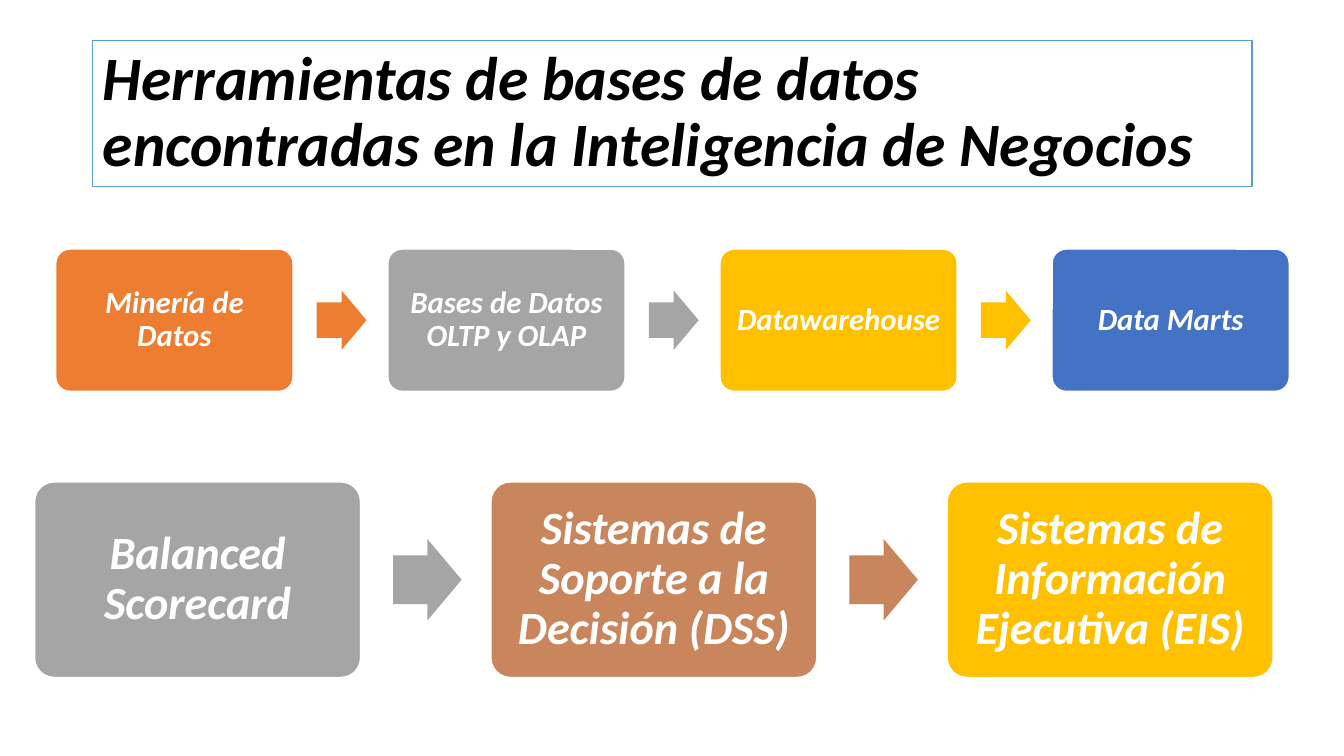
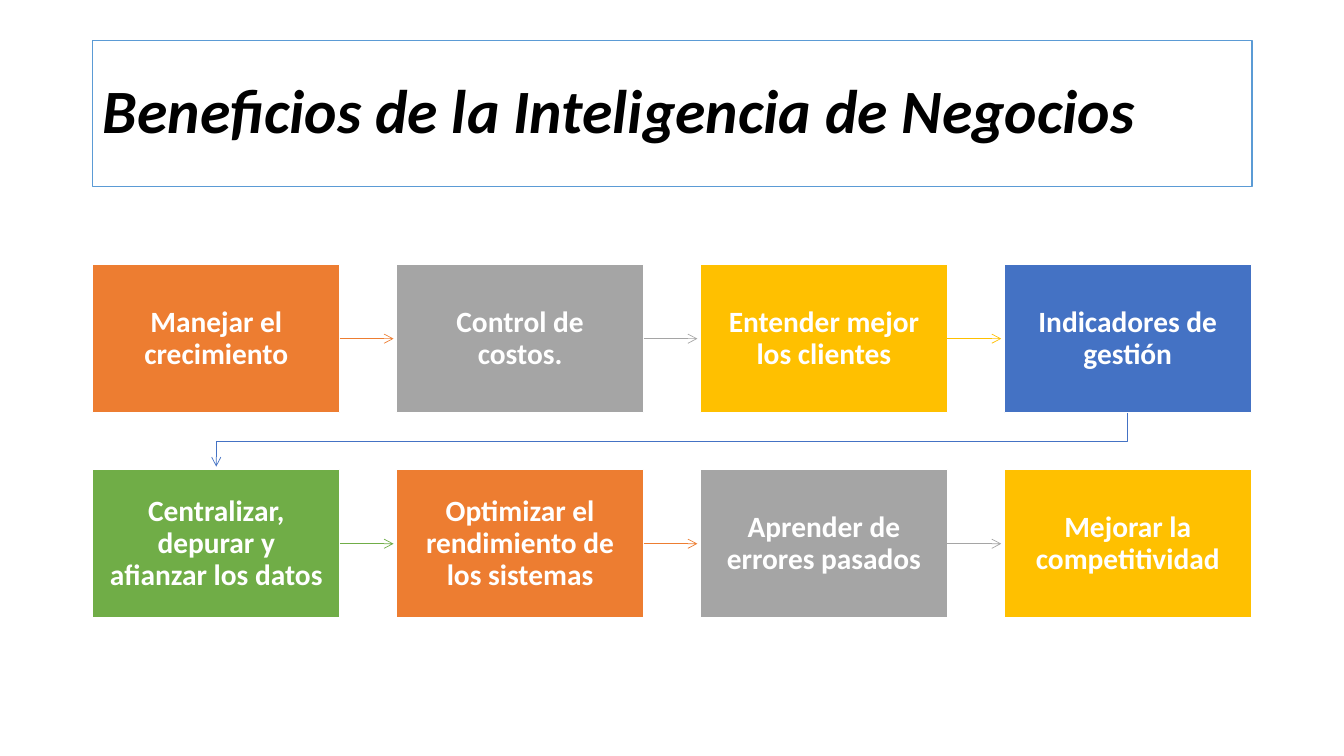
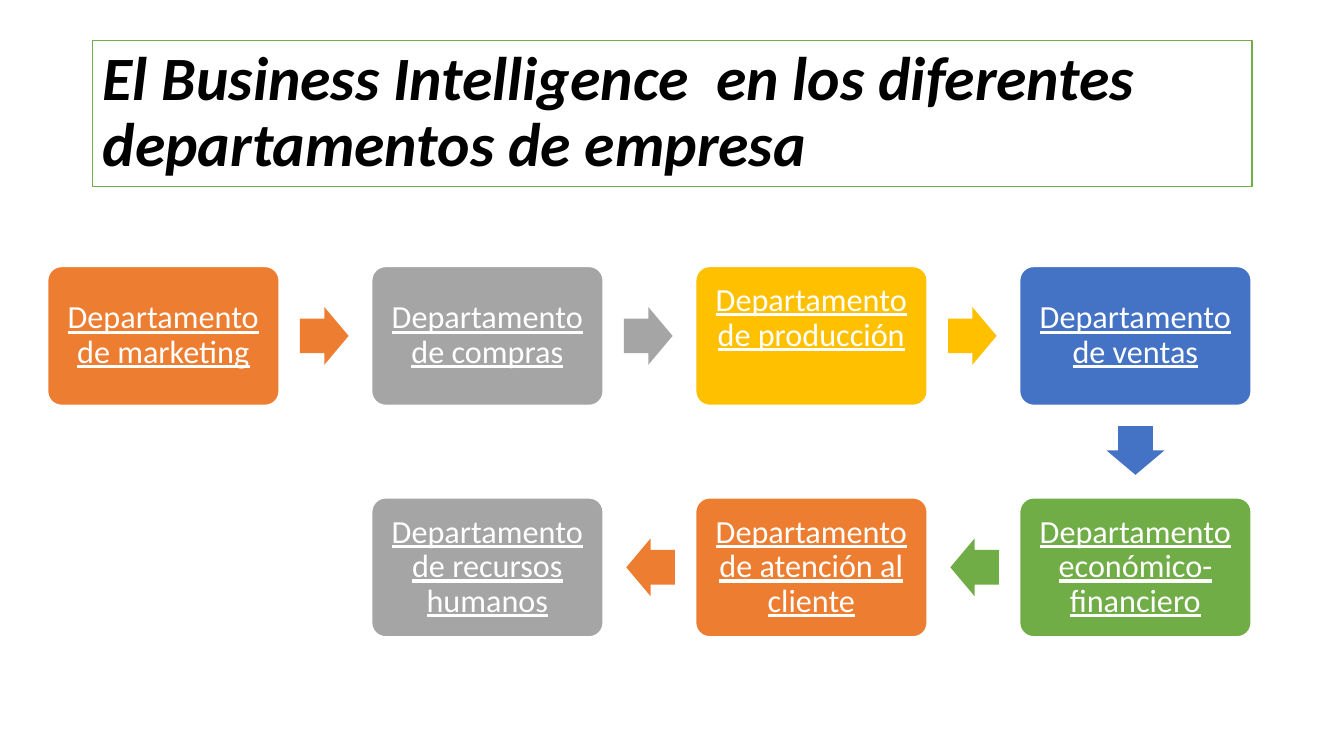
from dataclasses import dataclass
from itertools import pairwise

from lxml import etree
from pptx import Presentation
from pptx import util as u
from pptx.dml.color import RGBColor
from pptx.enum import shapes, text
from pptx.oxml.ns import qn

BLACK = RGBColor(0x00, 0x00, 0x00)
WHITE = RGBColor(0xFF, 0xFF, 0xFF)
SKY = RGBColor(0x5B, 0x9B, 0xD5)
ORANGE = RGBColor(0xED, 0x7D, 0x31)
GRAY = RGBColor(0xA5, 0xA5, 0xA5)
GOLD = RGBColor(0xFF, 0xC0, 0x00)
BLUE = RGBColor(0x44, 0x72, 0xC4)
GREEN = RGBColor(0x70, 0xAD, 0x47)
BROWN = RGBColor(0xC9, 0x85, 0x5C)

FONT = "Calibri"
LINE_SPACING = 0.9
SLIDE_W, SLIDE_H = u.Inches(13.333), u.Inches(7.5)
TITLE_ONLY = 5

# Shares of a box's width
BOX_HEIGHT = 0.6
ARROW_LENGTH, ARROW_BREADTH = 0.21, 0.25

ROTATION = {(1, 0): 0, (0, 1): 90, (-1, 0): 180}
ROUND = shapes.MSO_SHAPE.ROUNDED_RECTANGLE
SQUARE = shapes.MSO_SHAPE.RECTANGLE


@dataclass(frozen=True)
class Step:
    """One box of a flow; lift is the number of lines its text is raised by."""
    label: str
    color: RGBColor
    lift: int = 0


@dataclass(frozen=True)
class Flow:
    """Steps on a grid: left, top and width in % of the slide, pitches in box widths."""
    left: float
    top: float
    width: float
    font_size: int
    steps: tuple[Step, ...]
    columns: int = 4
    column_pitch: float = 1.4
    row_pitch: float = 1.0
    outline: shapes.MSO_SHAPE = ROUND
    inset_em: float = 0.31
    arrow_lead: float = 0.1
    snake: bool = False
    bold: bool = False
    italic: bool = False
    underline: bool = False


@dataclass(frozen=True)
class Page:
    """A title with its frame colour and the flows below it."""
    title: str
    frame: RGBColor
    flows: tuple[Flow, ...]


@dataclass(frozen=True)
class Box:
    """Place of one step on the slide."""
    column: int
    row: int
    x: int
    y: int
    w: int
    h: int

    @property
    def center(self) -> tuple[int, int]:
        """Middle point of the box."""
        return self.x + self.w // 2, self.y + self.h // 2


def share_x(percent: float) -> int:
    """Length as a percentage of the slide's width."""
    return round(SLIDE_W * percent / 100)


def share_y(percent: float) -> int:
    """Length as a percentage of the slide's height."""
    return round(SLIDE_H * percent / 100)


def place(flow: Flow, index: int) -> Box:
    """Find the grid cell of a step; snaking flows run odd rows backwards."""
    row, column = divmod(index, flow.columns)
    if flow.snake and row % 2:
        column = flow.columns - 1 - column
    width = share_x(flow.width)
    return Box(column, row,
               share_x(flow.left) + round(column * width * flow.column_pitch),
               share_y(flow.top) + round(row * width * flow.row_pitch),
               width, round(width * BOX_HEIGHT))


def paint(shape, fill: RGBColor, line: RGBColor | None = None) -> None:
    """Give a shape a flat fill and a 1 pt line, or none."""
    shape.fill.solid()
    shape.fill.fore_color.rgb = fill
    if line is None:
        shape.line.fill.background()
    else:
        shape.line.color.rgb = line
        shape.line.width = u.Pt(1)


def write(frame, words: str, size: int, color: RGBColor, align: text.PP_ALIGN,
          bold: bool, italic: bool, underline: bool = False) -> None:
    """Set one wrapped, vertically centred paragraph."""
    frame.word_wrap = True
    frame.auto_size = text.MSO_AUTO_SIZE.NONE
    frame.vertical_anchor = text.MSO_ANCHOR.MIDDLE
    paragraph = frame.paragraphs[0]
    paragraph.alignment = align
    paragraph.line_spacing = LINE_SPACING
    run = paragraph.add_run()
    run.text = words
    font = run.font
    font.name, font.size, font.color.rgb = FONT, u.Pt(size), color
    font.bold, font.italic, font.underline = bold, italic, underline


def draw_title(slide, page: Page) -> None:
    """Place the framed title."""
    title = slide.shapes.title
    title.left, title.top = share_x(6.9), share_y(5.33)
    title.width, title.height = share_x(86.25), share_y(19.33)
    paint(title, WHITE, page.frame)
    write(title.text_frame, page.title, 44, BLACK, text.PP_ALIGN.LEFT, True, True)


def draw_step(slide, flow: Flow, step: Step, box: Box) -> None:
    """Draw one coloured box with its label."""
    shape = slide.shapes.add_shape(flow.outline, box.x, box.y, box.w, box.h)
    shape.shadow.inherit = False
    if flow.outline == ROUND:
        shape.adjustments[0] = 0.1
    paint(shape, step.color, WHITE)
    frame = shape.text_frame
    inset = u.Pt(flow.font_size * flow.inset_em)
    frame.margin_left = frame.margin_right = frame.margin_top = inset
    line_height = u.Pt(flow.font_size * 1.22 * LINE_SPACING)
    frame.margin_bottom = inset + step.lift * line_height
    write(frame, step.label, flow.font_size, WHITE, text.PP_ALIGN.CENTER,
          flow.bold, flow.italic, flow.underline)


def draw_block_arrow(slide, flow: Flow, color: RGBColor, start: Box, end: Box) -> None:
    """Draw a block arrow that leaves one box towards the next."""
    dx, dy = end.column - start.column, end.row - start.row
    length, breadth = round(start.w * ARROW_LENGTH), round(start.w * ARROW_BREADTH)
    half_box = start.w / 2 if dx else start.h / 2
    reach = round(half_box + start.w * flow.arrow_lead + length / 2)
    x, y = start.center
    arrow = slide.shapes.add_shape(
        shapes.MSO_SHAPE.RIGHT_ARROW, x + dx * reach - length // 2,
        y + dy * reach - breadth // 2, length, breadth)
    arrow.adjustments[0], arrow.adjustments[1] = 0.6, 0.5
    arrow.rotation = ROTATION[dx, dy]
    arrow.shadow.inherit = False
    paint(arrow, color)


def draw_thin_arrow(slide, color: RGBColor, start: Box, end: Box) -> None:
    """Draw a line to the next box, bent where the flow changes row."""
    gap = u.Inches(0.03)
    x, y = start.center
    if start.row == end.row:
        arrow = slide.shapes.add_connector(
            shapes.MSO_CONNECTOR.STRAIGHT, start.x + start.w, y, end.x - gap, y)
        etree.SubElement(arrow._element.spPr, qn("a:effectLst"))
    else:
        bottom, target = start.y + start.h, end.center[0]
        middle = (bottom + end.y) // 2
        builder = slide.shapes.build_freeform(x, bottom)
        builder.add_line_segments(
            [(x, middle), (target, middle), (target, end.y - gap)], close=False)
        arrow = builder.convert_to_shape()
        arrow.fill.background()
        arrow.shadow.inherit = False
    arrow.line.color.rgb = color
    arrow.line.width = u.Pt(0.5)
    etree.SubElement(arrow.line._get_or_add_ln(), qn("a:tailEnd"), type="arrow")


def draw_flow(slide, flow: Flow) -> None:
    """Draw all boxes of a flow and the arrows between them."""
    placed = [(step, place(flow, i)) for i, step in enumerate(flow.steps)]
    for step, box in placed:
        draw_step(slide, flow, step, box)
    for (step, start), (_, end) in pairwise(placed):
        if flow.outline == ROUND:
            draw_block_arrow(slide, flow, step.color, start, end)
        else:
            draw_thin_arrow(slide, step.color, start, end)


PAGES = (
    Page("Herramientas de bases de datos encontradas en la Inteligencia de Negocios", SKY, (
        Flow(4.15, 32.95, 17.65, 22, (
            Step("Minería de Datos", ORANGE),
            Step("Bases de Datos OLTP y OLAP", GRAY),
            Step("Datawarehouse", GOLD),
            Step("Data Marts", BLUE),
        ), bold=True, italic=True),
        Flow(2.58, 63.75, 24.25, 33, (
            Step("Balanced Scorecard", GRAY),
            Step("Sistemas de Soporte a la Decisión (DSS)", BROWN),
            Step("Sistemas de Información Ejecutiva (EIS)", GOLD),
        ), columns=3, bold=True, italic=True),
    )),
    Page("Beneficios de la Inteligencia de Negocios", SKY, (
        Flow(6.9, 35, 18.38, 21, (
            Step("Manejar el crecimiento", ORANGE),
            Step("Control de costos.", GRAY),
            Step("Entender mejor los clientes", GOLD),
            Step("Indicadores de gestión", BLUE),
            Step("Centralizar, depurar y afianzar los datos", GREEN),
            Step("Optimizar el rendimiento de los sistemas", ORANGE),
            Step("Aprender de errores pasados", GRAY),
            Step("Mejorar la competitividad", GOLD),
        ), column_pitch=1.23, row_pitch=0.83, outline=SQUARE, inset_em=0.55, bold=True),
    )),
    Page("El Business Intelligence  en los diferentes departamentos de empresa", GREEN, (
        Flow(3.55, 35.25, 17.22, 23, (
            Step("Departamento de marketing", ORANGE),
            Step("Departamento de compras", GRAY),
            Step("Departamento de producción", GOLD, lift=1),
            Step("Departamento de ventas", BLUE),
            Step("Departamento económico-financiero", GREEN),
            Step("Departamento de atención al cliente", ORANGE),
            Step("Departamento de recursos humanos", GRAY),
        ), arrow_lead=0.09, snake=True, underline=True),
    )),
)


def main() -> None:
    """Build and save the presentation."""
    deck = Presentation()
    deck.slide_width, deck.slide_height = SLIDE_W, SLIDE_H
    for page in PAGES:
        slide = deck.slides.add_slide(deck.slide_layouts[TITLE_ONLY])
        draw_title(slide, page)
        for flow in page.flows:
            draw_flow(slide, flow)
    deck.save("out.pptx")


main()
